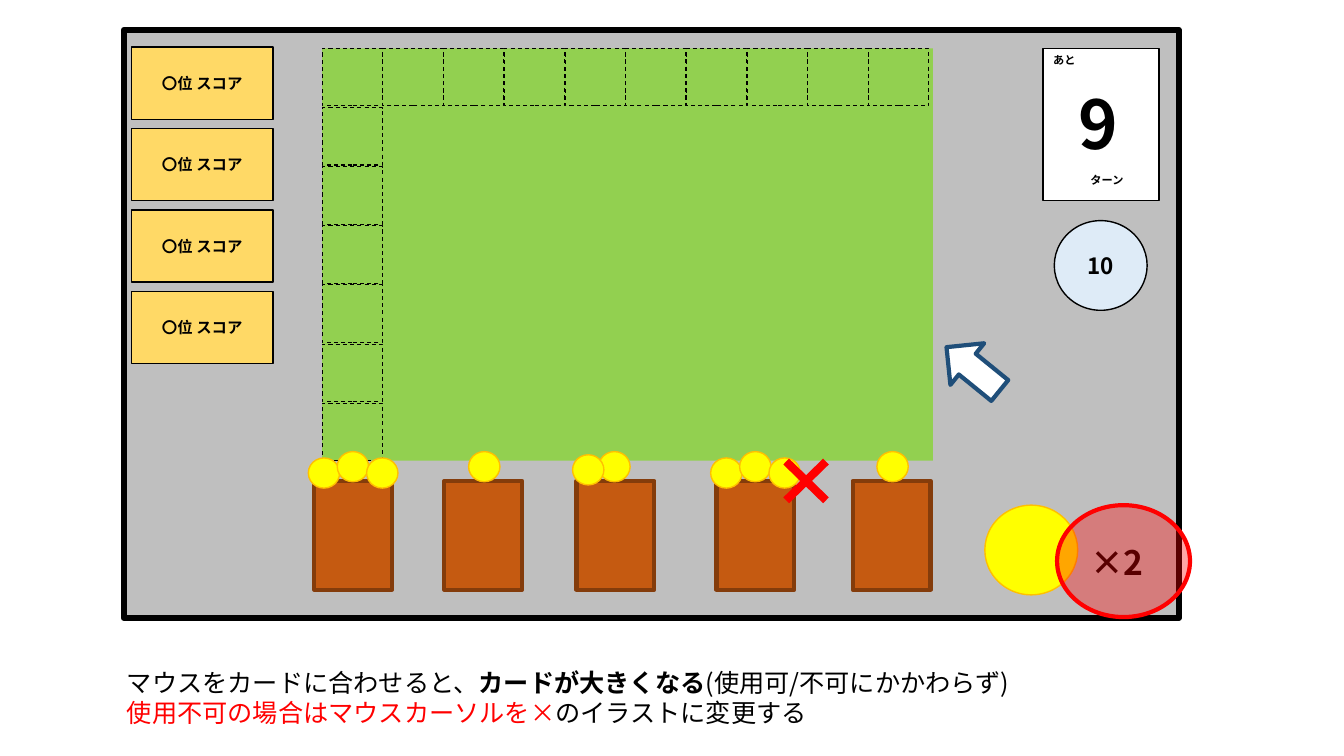
from collections import namedtuple

from lxml.etree import SubElement
from pptx import Presentation
from pptx.dml.color import RGBColor
from pptx.enum.dml import MSO_LINE
from pptx.enum.shapes import MSO_SHAPE
from pptx.enum.text import MSO_ANCHOR, PP_ALIGN
from pptx.oxml.ns import qn
from pptx.util import Cm, Pt

FONT = "Noto Sans CJK JP"
LINE_RATIO = 1.19
BLACK = RGBColor(0x00, 0x00, 0x00)
WHITE = RGBColor(0xFF, 0xFF, 0xFF)
RED = RGBColor(0xFF, 0x00, 0x00)
GRAY = RGBColor(0xBF, 0xBF, 0xBF)
GREEN = RGBColor(0x92, 0xD0, 0x50)
YELLOW = RGBColor(0xFF, 0xFF, 0x00)
GOLD = RGBColor(0xFF, 0xC0, 0x00)
SAND = RGBColor(0xFF, 0xD9, 0x66)
BROWN = RGBColor(0xC5, 0x5A, 0x11)
DARK_BROWN = RGBColor(0x84, 0x3C, 0x0B)
PALE_BLUE = RGBColor(0xDE, 0xEB, 0xF7)
NAVY = RGBColor(0x1F, 0x4E, 0x79)

Box = namedtuple("Box", "left top width height")
ONE_COIN = [(0.61, -0.74)]
TWO_COINS = [(0.56, -0.74), (-0.1, -0.66)]
THREE_COINS = [(-0.15, -0.58), (0.58, -0.74), (1.32, -0.58)]


def inside(box, left, top, width, height):
    """Return a box placed relative to the corner of another box."""
    return Box(box.left + left, box.top + top, width, height)


def draw(page, kind, box, fill=None, line=None, weight=1):
    """Add a preset shape with plain fill and outline."""
    shape = page.shapes.add_shape(kind, *map(Cm, box))
    shape.shadow.inherit = False
    if fill is None:
        shape.fill.background()
    else:
        shape.fill.solid()
        shape.fill.fore_color.rgb = fill
    if line is None:
        shape.line.fill.background()
    else:
        shape.line.color.rgb = line
        shape.line.width = Pt(weight)
    return shape


def write(para, text, size=18, color=BLACK, bold=False, align=PP_ALIGN.LEFT,
          indent=0, before=0):
    """Add a formatted span to a paragraph and format the paragraph."""
    para.alignment = align
    para.line_spacing = Pt(round(size * LINE_RATIO, 1))
    para.space_before = Pt(before)
    para._p.get_or_add_pPr().set("marL", str(int(Cm(indent))))
    span = para.add_run()
    span.text = text
    span.font.size = Pt(size)
    span.font.bold = bold
    span.font.color.rgb = color
    span.font.name = FONT
    SubElement(span.font._element, qn("a:ea")).set("typeface", FONT)


def label(shape, text, size):
    """Write one bold line in the middle of a shape."""
    frame = shape.text_frame
    frame.vertical_anchor = MSO_ANCHOR.MIDDLE
    write(frame.paragraphs[0], text, size=size, bold=True,
          align=PP_ALIGN.CENTER)


def text_box(page, box):
    """Add a wrapping text box and return its frame."""
    frame = page.shapes.add_textbox(*map(Cm, box)).text_frame
    frame.word_wrap = True
    return frame


def draw_board(page, box, columns=10, rows=7):
    """Draw the field with dashed cells along its top and left edges."""
    draw(page, MSO_SHAPE.RECTANGLE, box, GREEN)
    cells = [(0, row) for row in range(rows)]
    cells += [(column, 0) for column in range(1, columns)]
    for column, row in cells:
        place = inside(box, column * 1.53, row * 1.49, 1.52, 1.45)
        cell = draw(page, MSO_SHAPE.RECTANGLE, place, line=BLACK, weight=0.75)
        cell.line.dash_style = MSO_LINE.DASH


def draw_ranking(page, box, count=4):
    """Stack the score panels down the box."""
    gap = 0.23
    height = (box.height - gap * (count - 1)) / count
    for index in range(count):
        place = inside(box, 0, index * (height + gap), box.width, height)
        panel = draw(page, MSO_SHAPE.RECTANGLE, place, SAND, BLACK)
        label(panel, "〇位 スコア", 11)


def draw_turns(page, box):
    """Draw the remaining turns card."""
    card = draw(page, MSO_SHAPE.RECTANGLE, box, WHITE, BLACK)
    frame = card.text_frame
    frame.vertical_anchor = MSO_ANCHOR.TOP
    write(frame.paragraphs[0], "あと", size=8, bold=True)
    write(frame.add_paragraph(), "9", size=48, bold=True, indent=0.64,
          before=12)
    write(frame.add_paragraph(), "ターン", size=8, bold=True, indent=0.94,
          before=7)


def draw_coin(page, box):
    """Draw a yellow coin."""
    draw(page, MSO_SHAPE.OVAL, box, YELLOW, GOLD)


def draw_card(page, box, coins):
    """Draw a hand card and the coins on its top edge."""
    draw(page, MSO_SHAPE.RECTANGLE, box, BROWN, DARK_BROWN, 3)
    for left, top in coins:
        draw_coin(page, inside(box, left, top, 0.79, 0.76))


def draw_hand(page, box):
    """Lay out the five hand cards from the left of the box."""
    hand = [(0, THREE_COINS), (3.28, ONE_COIN), (6.61, TWO_COINS),
            (10.14, THREE_COINS), (13.57, ONE_COIN)]
    for left, coins in hand:
        draw_card(page, inside(box, left, 0, 1.96, box.height), coins)


def draw_purse(page, box):
    """Draw the large coin with its multiplier."""
    draw_coin(page, inside(box, 0, 0, 2.34, box.height))
    frame = text_box(page, inside(box, 2.41, 0.8, 2.49, 1.35))
    write(frame.paragraphs[0], "×2", size=24, bold=True)


def draw_pointers(page, box):
    """Draw the mouse arrow, the red cross and the red highlight."""
    arrow = draw(page, MSO_SHAPE.UP_ARROW, inside(box, 20.73, 7.67, 1.35, 1.73),
                 WHITE, NAVY, 3)
    arrow.rotation = 309.1
    cross = draw(page, MSO_SHAPE.MATH_MULTIPLY,
                 inside(box, 16.23, 10.42, 1.93, 1.88), RED)
    cross.adjustments[0] = 0.11
    ring = draw(page, MSO_SHAPE.OVAL, inside(box, 23.52, 11.97, 3.35, 2.82),
                RED, RED, 3)
    color = ring.fill._xPr.find(qn("a:solidFill"))[0]
    SubElement(color, qn("a:alpha")).set("val", "35000")


def draw_caption(page, box):
    """Write the two lines of explanation."""
    frame = text_box(page, box)
    first, second = frame.paragraphs[0], frame.add_paragraph()
    write(first, "マウスをカードに合わせると、")
    write(first, "カードが大きくなる", bold=True)
    write(first, "(使用可/不可にかかわらず)")
    write(second, "使用不可の場合はマウスカーソルを×", color=RED)
    write(second, "のイラストに変更する")


def draw_screen(page, box):
    """Draw the game screen with all its regions."""
    draw(page, MSO_SHAPE.RECTANGLE, box, GRAY, BLACK, 4.5)
    draw_purse(page, inside(box, 21.7, 11.97, 4.9, 2.26))
    draw_board(page, inside(box, 5, 0.46, 15.39, 10.39))
    draw_ranking(page, inside(box, 0.2, 0.43, 3.56, 7.97))
    draw_turns(page, inside(box, 23.17, 0.46, 2.92, 3.84))
    timer = draw(page, MSO_SHAPE.OVAL, inside(box, 23.45, 4.8, 2.34, 2.26),
                 PALE_BLUE, BLACK)
    label(timer, "10", 16)
    draw_hand(page, inside(box, 4.8, 11.36, 15.53, 2.74))
    draw_pointers(page, box)


deck = Presentation()
deck.slide_width, deck.slide_height = Cm(33.87), Cm(19.05)
slide = deck.slides.add_slide(deck.slide_layouts[6])
draw_screen(slide, Box(3.12, 0.76, 26.59, 14.81))
draw_caption(slide, Box(2.95, 16.69, 27.3, 1.8))
deck.save("out.pptx")
